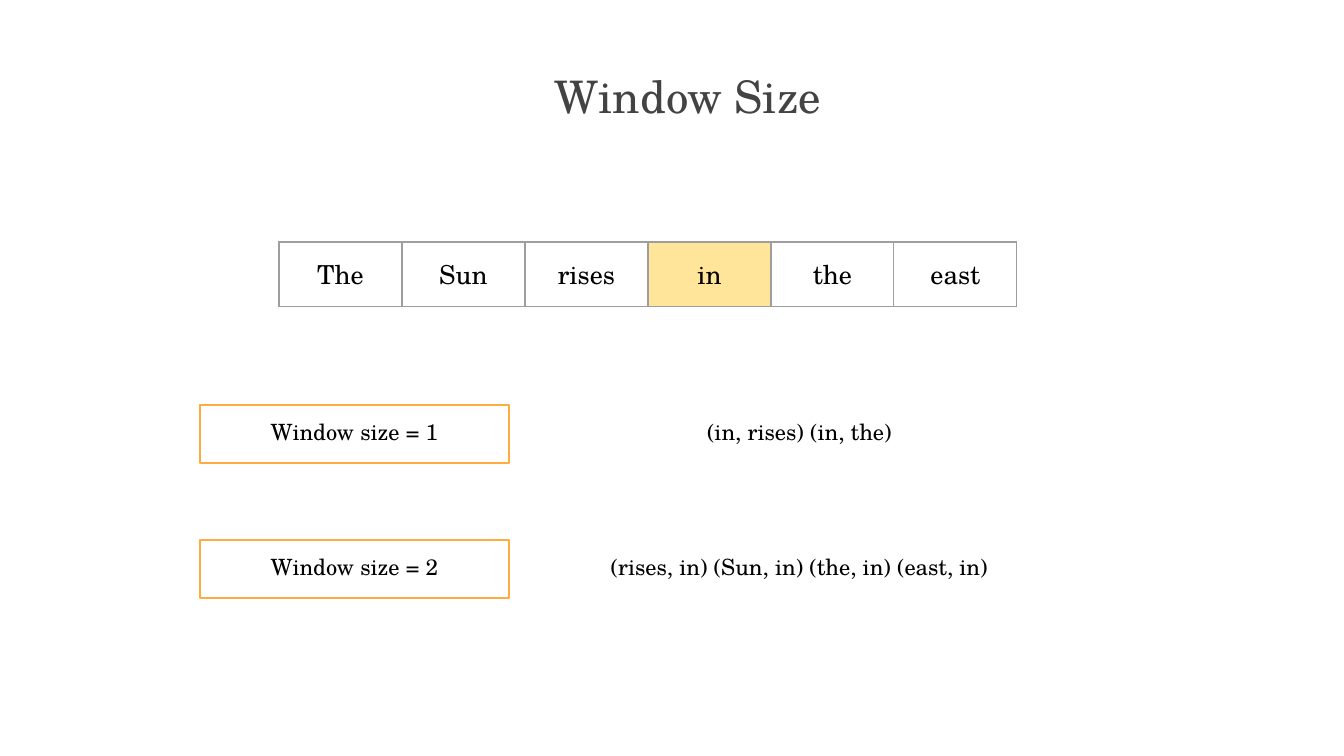
"""Build the Window Size slide: a sentence row and word pairs per window."""
from pptx import Presentation
from pptx.dml.color import RGBColor as RGB
from pptx.enum.shapes import MSO_SHAPE as Shape
from pptx.enum.text import MSO_ANCHOR as Anchor, MSO_AUTO_SIZE as Auto, PP_ALIGN as Align
from pptx.oxml import parse_xml
from pptx.oxml.ns import nsdecls
from pptx.util import Pt

TITLE = "Window Size"
WORDS = ["The", "Sun", "rises", "in", "the", "east"]
FOCUS = "in"
PAIRS = [
    ("Window size = 1", "(in, rises) (in, the)"),
    ("Window size = 2", "(rises, in) (Sun, in) (the, in) (east, in)"),
]

FONT = "TeX Gyre Schola"
BLACK = RGB(0x00, 0x00, 0x00)
DARK = RGB(0x43, 0x43, 0x43)
GRAY = RGB(0x9E, 0x9E, 0x9E)
GOLD = RGB(0xFF, 0xE5, 0x99)
AMBER = RGB(0xFF, 0xAB, 0x40)

WIDE, HIGH = 1344, 756
SCALE = 9144000 / WIDE
PAD = 13
COL, ROW = 123, 47
TOP, STEP, TALL = 405, 135, 58


def px(*sizes):
    return [round(size * SCALE) for size in sizes]


def write(frame, text, size=12, color=BLACK, anchor=Anchor.TOP, after=0):
    pad, = px(PAD)
    frame.margin_left = frame.margin_right = pad
    frame.margin_top = frame.margin_bottom = pad
    frame.word_wrap = True
    frame.auto_size = Auto.NONE
    frame.vertical_anchor = anchor
    para = frame.paragraphs[0]
    para.alignment = Align.CENTER
    para.space_after = Pt(after)
    run = para.add_run()
    run.text = text
    font = run.font
    font.name, font.size = FONT, Pt(size)
    font.color.rgb = color


def edge(cell):
    props = cell._tc.get_or_add_tcPr()
    for i, side in enumerate(("lnL", "lnR", "lnT", "lnB")):
        props.insert(i, parse_xml(
            f'<a:{side} {nsdecls("a")} w="{Pt(0.75)}"><a:solidFill>'
            f'<a:srgbClr val="{GRAY}"/></a:solidFill></a:{side}>'))


def add_row(slide):
    count = len(WORDS)
    table = slide.shapes.add_table(1, count, *px(279, 242, COL * count, ROW)).table
    table.first_row = table.horz_banding = False
    for i, word in enumerate(WORDS):
        table.columns[i].width, = px(COL)
        cell = table.cell(0, i)
        if word == FOCUS:
            cell.fill.solid()
            cell.fill.fore_color.rgb = GOLD
        else:
            cell.fill.background()
        edge(cell)
        write_cell(cell, word)


def write_cell(cell, word):
    pad, = px(PAD)
    cell.margin_left = cell.margin_right = pad
    cell.margin_top = cell.margin_bottom = pad
    para = cell.text_frame.paragraphs[0]
    para.alignment = Align.CENTER
    run = para.add_run()
    run.text = word
    run.font.name, run.font.size = FONT, Pt(14)
    run.font.color.rgb = BLACK


def add_pair(slide, top, label, pairs):
    note = slide.shapes.add_textbox(*px(487, top, 625, TALL))
    write(note.text_frame, pairs)
    box = slide.shapes.add_shape(Shape.RECTANGLE, *px(200, top, 309, TALL))
    box.shadow.inherit = False
    box.fill.background()
    box.line.color.rgb = AMBER
    box.line.width = Pt(0.75)
    write(box.text_frame, label)


def main():
    deck = Presentation()
    deck.slide_width, deck.slide_height = px(WIDE, HIGH)
    slide = deck.slides.add_slide(deck.slide_layouts[5])
    title = slide.shapes.title
    title.left, title.top, title.width, title.height = px(98, 64, 1180, 63)
    write(title.text_frame, TITLE, size=24, color=DARK, anchor=Anchor.MIDDLE, after=16)
    add_row(slide)
    for i, (label, pairs) in enumerate(PAIRS):
        add_pair(slide, TOP + i * STEP, label, pairs)
    deck.save("out.pptx")


if __name__ == "__main__":
    main()
